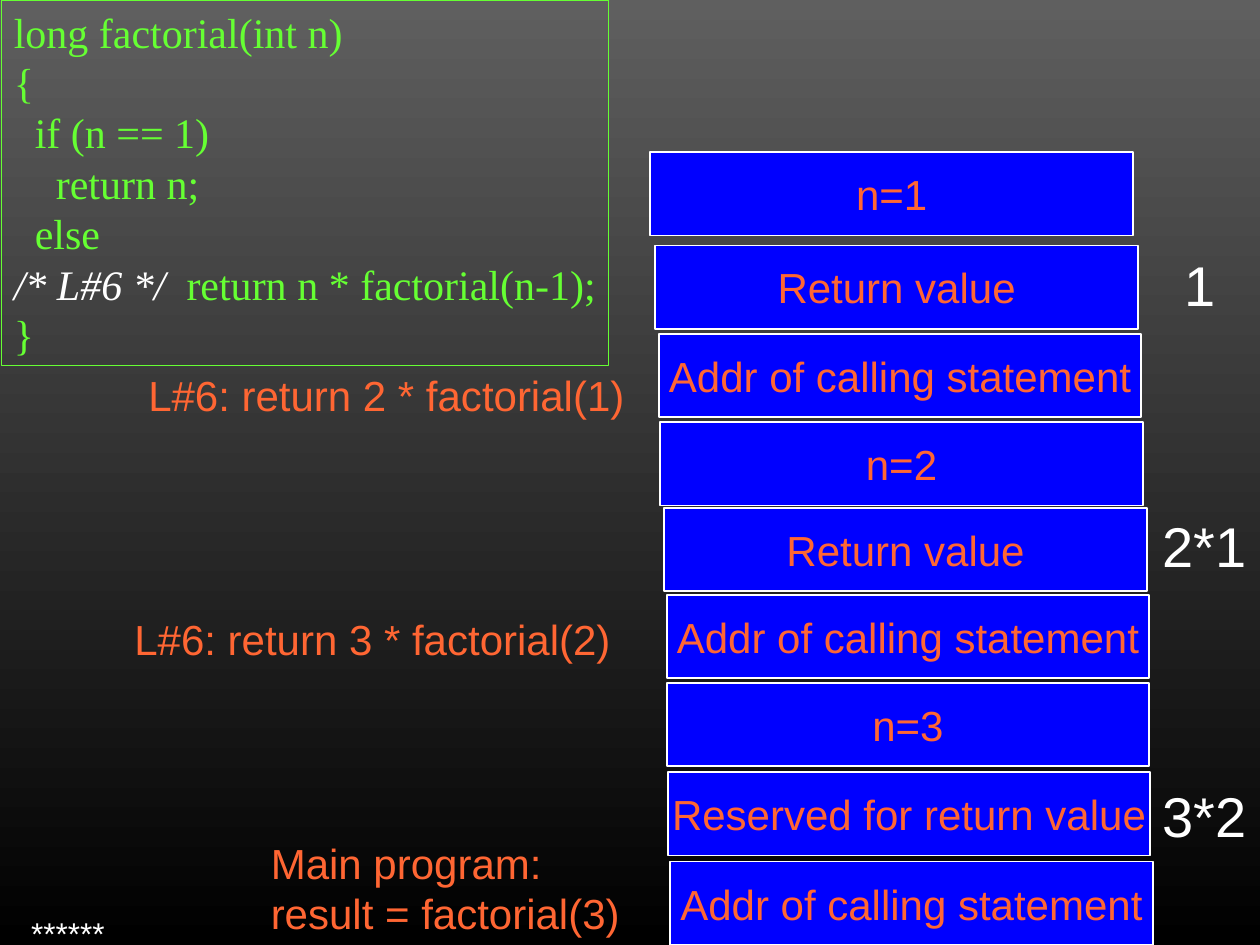
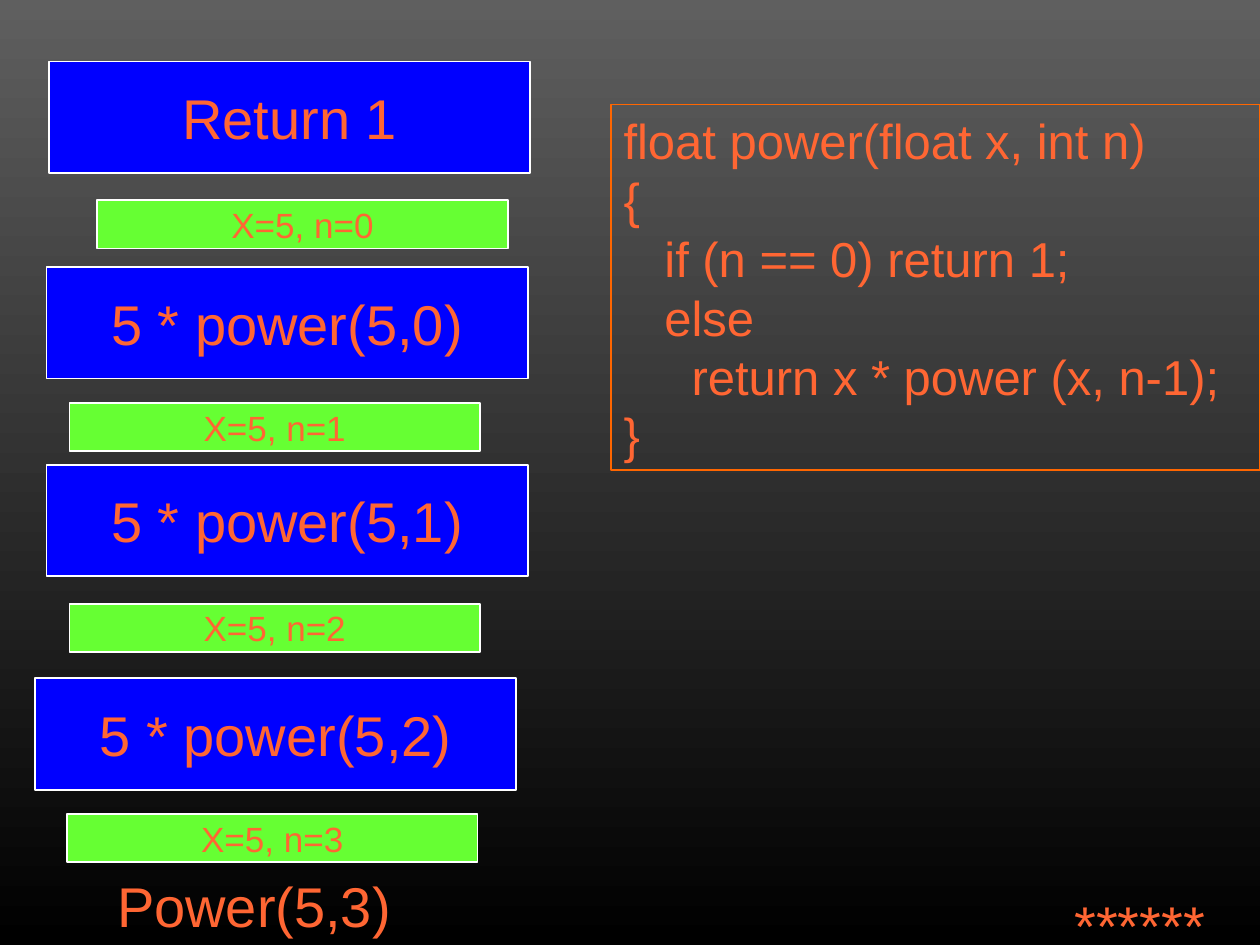
from dataclasses import dataclass

from pptx import Presentation
from pptx import util as u
from pptx.dml.color import RGBColor
from pptx.enum import shapes, text

Cm, Pt = u.Cm, u.Pt


@dataclass(frozen=True)
class Theme:
    top: str = "5F5F5F"
    bottom: str = "000000"
    blue: str = "0000FF"
    green: str = "66FF33"
    orange: str = "FF6633"
    frame: str = "FF6600"
    white: str = "FFFFFF"
    sans: str = "Arial"
    serif: str = "Times New Roman"
    footer: int = 18
    small: int = 20
    body: int = 24
    code: int = 28
    large: int = 32


THEME = Theme()

# Content: a code line is (indent level in spaces, text or styled spans)
FACTORIAL_CODE = [
    (0, "long factorial(int n)"),
    (0, "{"),
    (2, "if (n == 1)"),
    (4, "return n;"),
    (2, "else"),
    (0, [("/* L#6 */", {"color": THEME.white, "italic": True}),
         ("  return n * factorial(n-1);", {})]),
    (0, "}"),
]
POWER_CODE = [
    (0, "float power(float x, int n)"),
    (0, "{"),
    (3, "if (n == 0) return 1;"),
    (3, "else"),
    (5, "return x * power (x, n-1);"),
    (0, "}"),
]

# Stack frames, top to bottom: left, top, text
FACTORIAL_STACK = [
    (13.11, 3.07, "n=1"),
    (13.21, 4.95, "Return value"),
    (13.28, 6.73, "Addr of calling statement"),
    (13.31, 8.51, "n=2"),
    (13.39, 10.24, "Return value"),
    (13.44, 11.99, "Addr of calling statement"),
    (13.44, 13.77, "n=3"),
    (13.46, 15.57, "Reserved for return value"),
    (13.51, 17.37, "Addr of calling statement"),
]
POWER_CALLS = [
    (0.99, 1.24, "Return 1"),
    (0.94, 5.38, "5 * power(5,0)"),
    (0.94, 9.37, "5 * power(5,1)"),
    (0.71, 13.67, "5 * power(5,2)"),
]
POWER_ARGUMENTS = [(1.96, 4.04), (1.4, 8.13), (1.4, 12.17), (1.35, 16.41)]

# Labels: left, top, width, height, lines
CALLERS = [
    (2.74, 7.32, 10.11, 1.27, ["L#6: return 2 * factorial(1)"]),
    (2.46, 12.24, 10.34, 1.27, ["L#6: return 3 * factorial(2)"]),
    (5.21, 16.76, 7.54, 2.29, ["Main program:", "result = factorial(3)"]),
]
RESULTS = [
    (23.62, 4.93, 1.07, 1.63, ["1"]),
    (23.19, 10.19, 2.21, 1.63, ["2*1"]),
    (23.19, 15.62, 2.21, 1.63, ["3*2"]),
]
STARS = "******"


def write(frame, lines, size, color=THEME.orange, font=THEME.sans,
          align=text.PP_ALIGN.LEFT, anchor=text.MSO_ANCHOR.TOP, wrap=False):
    """Fill a text frame with lines of text or (indent, spans) pairs."""
    frame.word_wrap = wrap
    frame.vertical_anchor = anchor
    space = size * (0.25 if font == THEME.serif else 0.278)
    for number, line in enumerate(lines):
        indent, spans = line if isinstance(line, tuple) else (0, line)
        if isinstance(spans, str):
            spans = [(spans, {})]
        para = frame.add_paragraph() if number else frame.paragraphs[0]
        para.alignment = align
        if indent:
            para._p.get_or_add_pPr().set("marL", str(Pt(indent * space)))
        for words, style in spans:
            span = para.add_run()
            span.text = words
            span.font.name = font
            span.font.size = Pt(size)
            span.font.italic = style.get("italic", False)
            span.font.color.rgb = RGBColor.from_string(style.get("color", color))


def add_label(page, left, top, width, height, lines, **style):
    box = page.shapes.add_textbox(Cm(left), Cm(top), Cm(width), Cm(height))
    box.text_frame.auto_size = text.MSO_AUTO_SIZE.SHAPE_TO_FIT_TEXT
    write(box.text_frame, lines, **style)


def add_box(page, left, top, width, height, lines, fill=None,
            line=THEME.white, **style):
    box = page.shapes.add_shape(shapes.MSO_SHAPE.RECTANGLE,
                                Cm(left), Cm(top), Cm(width), Cm(height))
    box.shadow.inherit = False
    if fill:
        box.fill.solid()
        box.fill.fore_color.rgb = RGBColor.from_string(fill)
    else:
        box.fill.background()
    box.line.color.rgb = RGBColor.from_string(line)
    box.line.width = Pt(1)
    write(box.text_frame, lines, **style)


def add_cell(page, left, top, width, height, words, fill, size):
    add_box(page, left, top, width, height, [words], fill=fill, size=size,
            align=text.PP_ALIGN.CENTER, anchor=text.MSO_ANCHOR.MIDDLE)


def set_background(master):
    fill = master.background.fill
    fill.gradient()
    fill.gradient_angle = 270
    for stop, color in zip(fill.gradient_stops, (THEME.top, THEME.bottom)):
        stop.color.rgb = RGBColor.from_string(color)


def build_factorial(page):
    add_box(page, 0.03, 0, 12.24, 7.37, FACTORIAL_CODE, line=THEME.green,
            size=THEME.body, color=THEME.green, font=THEME.serif)
    for left, top, words in FACTORIAL_STACK:
        add_cell(page, left, top, 9.73, 1.68, words, THEME.blue, THEME.body)
    for label in CALLERS:
        add_label(page, *label, size=THEME.body)
    for label in RESULTS:
        add_label(page, *label, size=THEME.large, color=THEME.white)
    add_label(page, 0.38, 18.31, 2.1, 1.02, [STARS],
              size=THEME.footer, color=THEME.white)


def build_power(page):
    add_box(page, 12.32, 2.11, 13.08, 7.37, POWER_CODE, line=THEME.frame,
            size=THEME.code, wrap=True)
    for left, top, words in POWER_CALLS:
        add_cell(page, left, top, 9.7, 2.25, words, THEME.blue, THEME.large)
    for n, (left, top) in enumerate(POWER_ARGUMENTS):
        add_cell(page, left, top, 8.28, 0.97, f"X=5, n={n}",
                 THEME.green, THEME.small)
    add_label(page, 2.11, 17.45, 6.15, 1.63, ["Power(5,3)"], size=THEME.large)
    add_label(page, 21.41, 17.83, 3.2, 1.63, [STARS], size=THEME.large)


def main():
    deck = Presentation()
    deck.slide_width, deck.slide_height = Cm(25.4), Cm(19.05)
    set_background(deck.slide_master)
    blank = deck.slide_layouts[6]
    for build in (build_factorial, build_power):
        build(deck.slides.add_slide(blank))
    deck.save("out.pptx")


if __name__ == "__main__":
    main()
